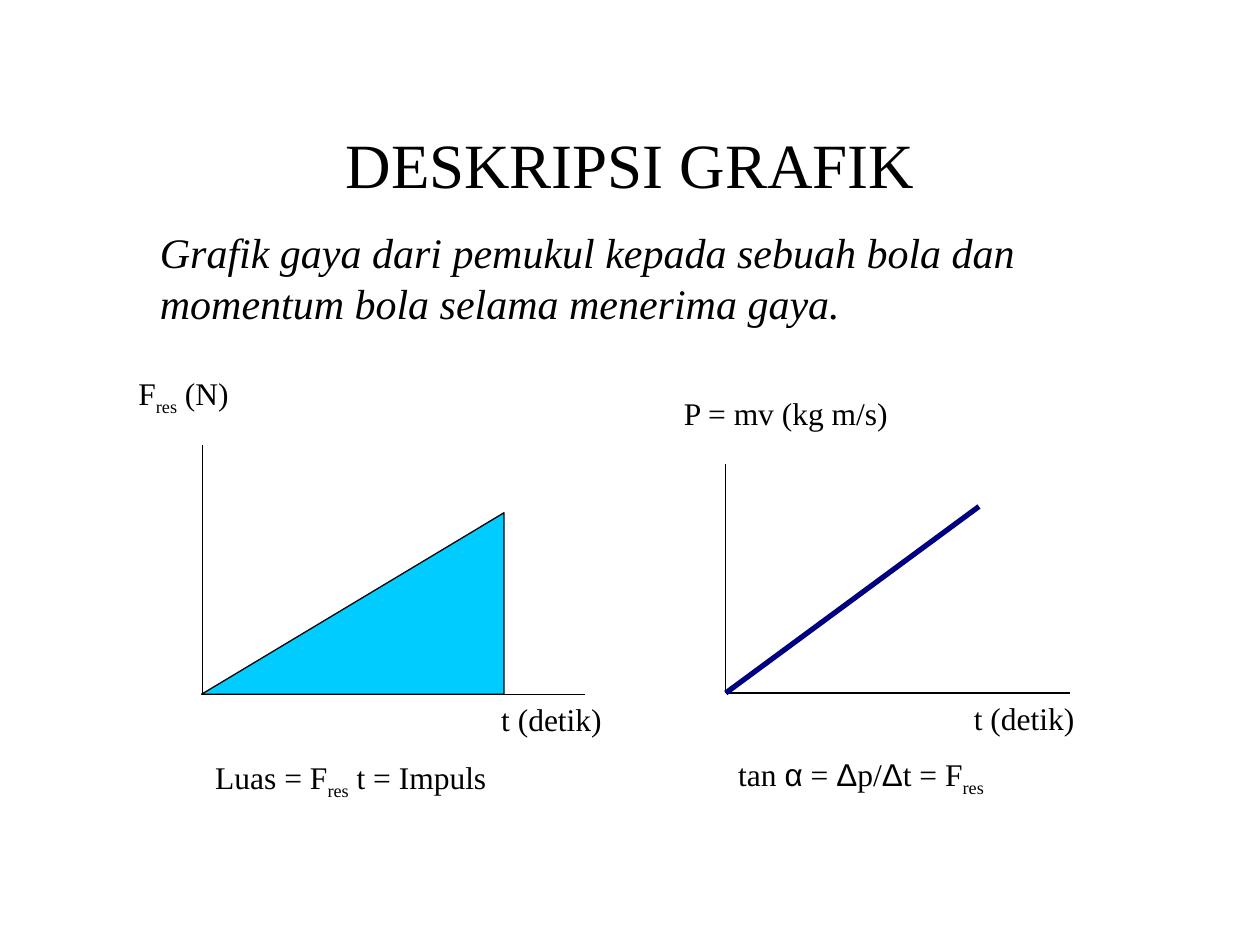
"""Build a slide that explains impulse and momentum with two graphs."""
from dataclasses import dataclass

from pptx import Presentation
from pptx.dml.color import RGBColor
from pptx.enum.shapes import MSO_CONNECTOR as Link, MSO_SHAPE as Shape
from pptx.enum.text import MSO_ANCHOR as Anchor, PP_ALIGN as Align
from pptx.oxml import parse_xml
from pptx.oxml.ns import nsdecls
from pptx.slide import Slide
from pptx.util import Inches, Pt

BLACK = RGBColor(0x00, 0x00, 0x00)
CYAN = RGBColor(0x00, 0xCC, 0xFF)
NAVY = RGBColor(0x00, 0x00, 0x80)
SERIF = "Times New Roman"

Point = tuple[float, float]
Box = tuple[float, float, float, float]


@dataclass(frozen=True)
class Span:
    text: str
    font: str = SERIF
    sub: bool = False


@dataclass(frozen=True)
class Label:
    box: Box
    spans: tuple[Span, ...]


@dataclass(frozen=True)
class Graph:
    zero: Point
    top: float
    right: float
    labels: tuple[Label, ...]


RES = Span("res", sub=True)
TIME = (Span("t (detik)"),)
ALPHA = Span("α", font="Arial")
DELTA = Span("Δ", font="Arial")

FORCE = Graph((1.61, 5.51), 3.53, 4.64, (
    Label((1, 2.92, 1.37, 0.46), (Span("F"), RES, Span(" (N)"))),
    Label((1.61, 5.97, 2.88, 0.61),
          (Span("Luas = F"), RES, Span(" t = Impuls"))),
    Label((3.88, 5.51, 1.37, 0.46), TIME),
))
SPEED = Graph((5.76, 5.5), 3.68, 8.49, (
    Label((5.33, 3.08, 2.15, 0.44), (Span("P = mv (kg m/s)"),)),
    Label((7.63, 5.5, 1.29, 0.59), TIME),
    Label((5.76, 5.94, 2.72, 0.89),
          (Span("tan "), ALPHA, Span(" = "), DELTA, Span("p/"), DELTA,
           Span("t = F"), RES)),
))


def add_text(slide: Slide, box: Box, *spans: Span, size: float = 18,
             italic: bool = False, align: Align = Align.LEFT,
             anchor: Anchor = Anchor.TOP) -> None:
    frame = slide.shapes.add_textbox(*map(Inches, box)).text_frame
    frame.word_wrap = True
    frame.vertical_anchor = anchor
    para = frame.paragraphs[0]
    para.alignment = align
    for span in spans:
        run = para.add_run()
        run.text = span.text
        font = run.font
        font.name, font.size, font.italic = span.font, Pt(size), italic
        font.color.rgb = BLACK
        if span.sub:
            font._element.set("baseline", "-25000")


def add_line(slide: Slide, start: Point, end: Point,
             color: RGBColor = BLACK, width: float = 0.75) -> None:
    line = slide.shapes.add_connector(
        Link.STRAIGHT, *map(Inches, start + end))
    line.line.color.rgb = color
    line.line.width = Pt(width)
    line._element.spPr.append(parse_xml(f"<a:effectLst {nsdecls('a')}/>"))


def add_area(slide: Slide, box: Box) -> None:
    area = slide.shapes.add_shape(Shape.RIGHT_TRIANGLE, *map(Inches, box))
    area.rotation = 270
    area.shadow.inherit = False
    area.fill.solid()
    area.fill.fore_color.rgb = CYAN
    area.line.color.rgb = BLACK
    area.line.width = Pt(0.75)


def add_graph(slide: Slide, graph: Graph) -> None:
    left, base = graph.zero
    add_line(slide, (left, graph.top), graph.zero)
    add_line(slide, graph.zero, (graph.right, base))
    for label in graph.labels:
        add_text(slide, label.box, *label.spans)


def main() -> None:
    deck = Presentation()
    deck.slide_width, deck.slide_height = Inches(10), Inches(7.5)
    slide = deck.slides.add_slide(deck.slide_layouts[6])
    add_text(slide, (0.75, 0.67, 8.5, 1.25), Span("DESKRIPSI GRAFIK"),
             size=36, align=Align.CENTER, anchor=Anchor.MIDDLE)
    add_text(slide, (1.17, 1.75, 7.25, 0.9),
             Span("Grafik gaya dari pemukul kepada sebuah bola dan "
                  "momentum bola selama menerima gaya."),
             size=24, italic=True)
    add_graph(slide, FORCE)
    add_area(slide, (2.08, 3.59, 1.44, 2.4))
    add_graph(slide, SPEED)
    add_line(slide, SPEED.zero, (7.77, 4.02), color=NAVY, width=3)
    deck.save("out.pptx")


if __name__ == "__main__":
    main()
